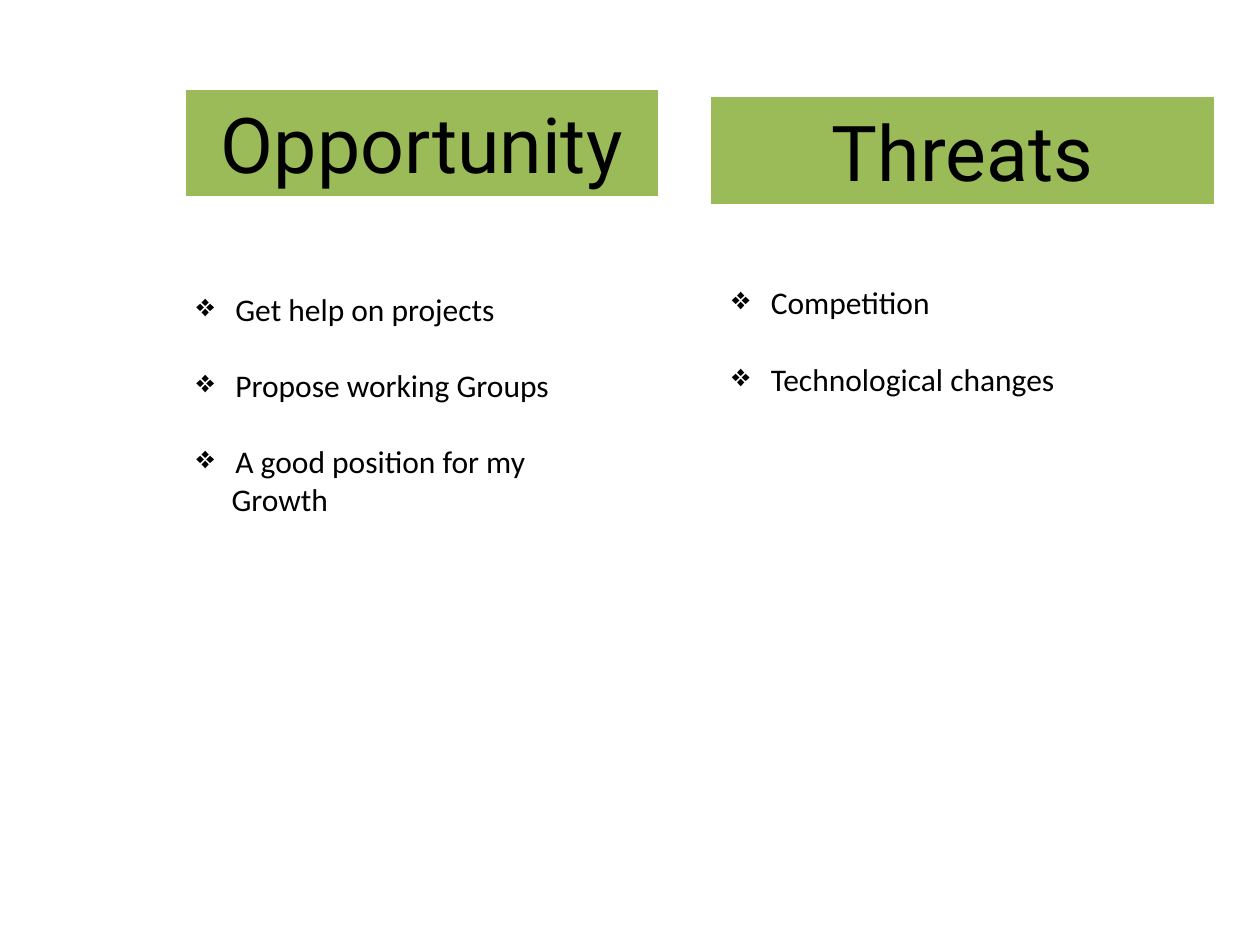
"""Build a slide that lists opportunities and threats in two columns."""
from dataclasses import dataclass

from lxml import etree
from pptx import Presentation
from pptx.dml.color import RGBColor
from pptx.enum.shapes import MSO_SHAPE
from pptx.enum.text import MSO_ANCHOR, MSO_AUTO_SIZE, PP_ALIGN
from pptx.oxml.ns import qn
from pptx.slide import Slide
from pptx.util import Inches, Pt

RECTANGLE = MSO_SHAPE.RECTANGLE
MIDDLE = MSO_ANCHOR.MIDDLE
CENTER = PP_ALIGN.CENTER
GROW = MSO_AUTO_SIZE.SHAPE_TO_FIT_TEXT

SLIDE_WIDTH = Inches(10)
SLIDE_HEIGHT = Inches(7.5)
GRID_UNIT = SLIDE_WIDTH / 100
BLANK_LAYOUT = 6

GREEN = "9BBB59"
WHITE = "FFFFFF"
BLACK = "000000"
HEADING_FONT, HEADING_SIZE = "Roboto", 44
BODY_FONT, BODY_SIZE = "Calibri", 18
BULLET = "❖"
BULLET_INDENT = Inches(0.31)
CONTINUATION_INDENT = Inches(0.28)
ITEM_GAP = Pt(22)


@dataclass(frozen=True)
class Box:
    """A rectangle in grid units."""

    left: float
    top: float
    width: float
    height: float

    def lengths(self) -> list[int]:
        """Return the position and size as slide lengths."""
        return [round(value * GRID_UNIT) for value in (self.left, self.top, self.width, self.height)]


@dataclass(frozen=True)
class Column:
    """A heading with its list; each item is one or more lines."""

    heading: str
    heading_box: Box
    items: list[list[str]]
    list_box: Box


COLUMNS = [
    Column(
        "Opportunity",
        Box(14.6, 7, 37.8, 8.7),
        [["Get help on projects"], ["Propose working Groups"], ["A good position for my", "Growth"]],
        Box(14.6, 22.5, 36.2, 19.2),
    ),
    Column(
        "Threats",
        Box(56.3, 7.6, 40.2, 8.7),
        [["Competition"], ["Technological changes"]],
        Box(57.1, 22, 34.6, 13.1),
    ),
]


def color(value: str) -> RGBColor:
    """Turn a hex string into a colour."""
    return RGBColor.from_string(value)


def style_font(paragraph, name: str, size: float) -> None:
    """Set the typeface, size and colour of a paragraph."""
    paragraph.font.name = name
    paragraph.font.size = Pt(size)
    paragraph.font.color.rgb = color(BLACK)


def indent_paragraph(paragraph, is_bullet: bool) -> None:
    """Indent a paragraph and give it a bullet if it starts an item."""
    properties = paragraph._p.get_or_add_pPr()
    if is_bullet:
        properties.set("marL", str(BULLET_INDENT))
        properties.set("indent", str(-BULLET_INDENT))
        etree.SubElement(properties, qn("a:buChar")).set("char", BULLET)
    else:
        properties.set("marL", str(CONTINUATION_INDENT))
        properties.set("indent", "0")


def draw_heading(slide: Slide, text: str, box: Box) -> None:
    """Draw a filled heading with centred text."""
    shape = slide.shapes.add_shape(RECTANGLE, *box.lengths())
    shape.shadow.inherit = False
    shape.fill.solid()
    shape.fill.fore_color.rgb = color(GREEN)
    shape.line.color.rgb = color(WHITE)
    shape.line.width = Pt(2)
    shape.text_frame.vertical_anchor = MIDDLE
    paragraph = shape.text_frame.paragraphs[0]
    paragraph.text = text
    paragraph.alignment = CENTER
    style_font(paragraph, HEADING_FONT, HEADING_SIZE)


def draw_list(slide: Slide, items: list[list[str]], box: Box) -> None:
    """Draw a bulleted list with a gap between its items."""
    frame = slide.shapes.add_textbox(*box.lengths()).text_frame
    frame.word_wrap = True
    frame.auto_size = GROW
    for item_index, lines in enumerate(items):
        for line_index, line in enumerate(lines):
            is_bullet = line_index == 0
            is_first = is_bullet and item_index == 0
            paragraph = frame.paragraphs[0] if is_first else frame.add_paragraph()
            paragraph.text = line
            indent_paragraph(paragraph, is_bullet)
            if is_bullet and not is_first:
                paragraph.space_before = ITEM_GAP
            style_font(paragraph, BODY_FONT, BODY_SIZE)


def main() -> None:
    """Build and save the presentation."""
    presentation = Presentation()
    presentation.slide_width = SLIDE_WIDTH
    presentation.slide_height = SLIDE_HEIGHT
    slide = presentation.slides.add_slide(presentation.slide_layouts[BLANK_LAYOUT])
    for column in COLUMNS:
        draw_heading(slide, column.heading, column.heading_box)
        draw_list(slide, column.items, column.list_box)
    presentation.save("out.pptx")


if __name__ == "__main__":
    main()
